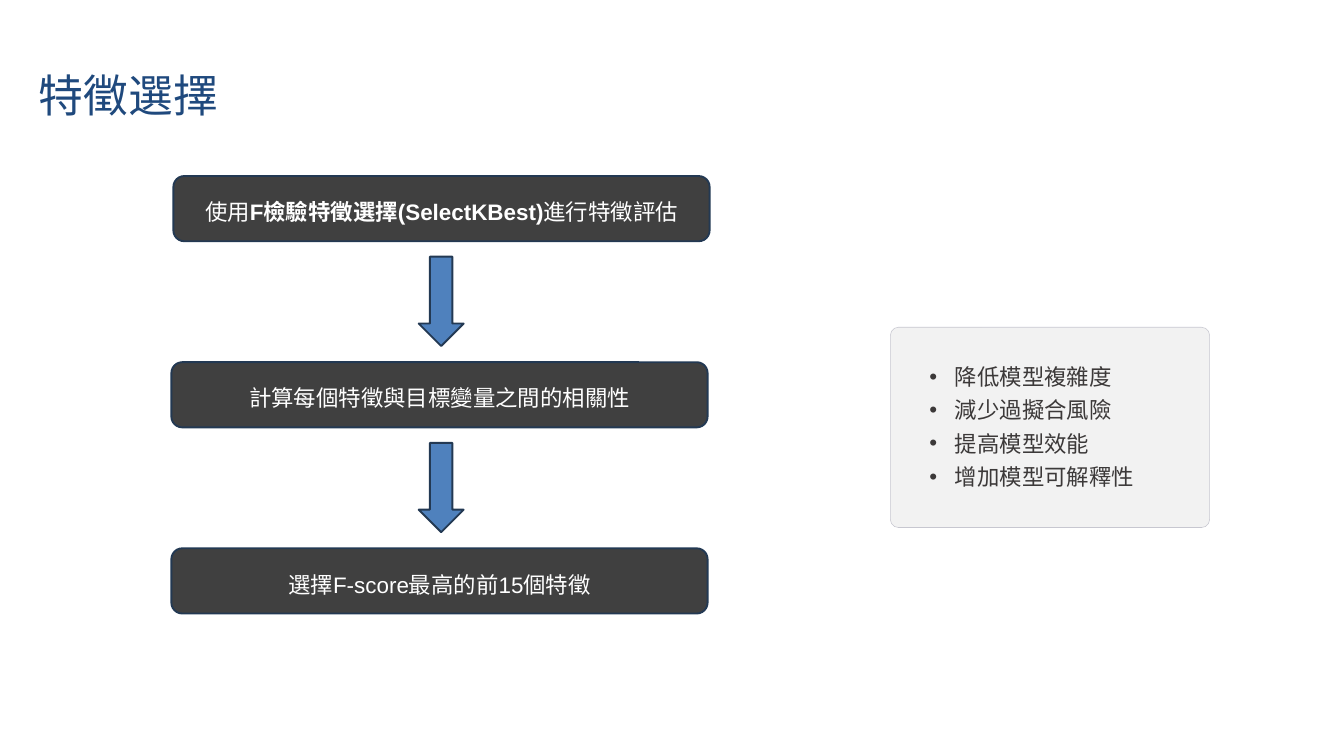
from pptx import Presentation
from pptx.dml.color import RGBColor
from pptx.enum.shapes import MSO_SHAPE
from pptx.enum.text import MSO_ANCHOR, MSO_AUTO_SIZE, PP_ALIGN
from pptx.util import Emu, Pt

PX = 9144  # EMU per px, 100 px to the inch
COLORS = {
    "title": "1F497D",
    "step": "404040",
    "step_text": "FFFFFF",
    "arrow": "4F81BD",
    "outline": "233953",
    "panel": "F2F2F2",
    "panel_line": "C7C7D0",
    "list_text": "3C3939",
}
TITLE = "特徵選擇"
# Each step is a list of (text, bold) runs
STEPS = [
    [("使用", False), ("F檢驗特徵選擇(SelectKBest)", True), ("進行特徵評估", False)],
    [("計算每個特徵與目標變量之間的相關性", False)],
    [("選擇F-score最高的前15個特徵", False)],
]
BENEFITS = ["降低模型複雜度", "減少過擬合風險", "提高模型效能", "增加模型可解釋性"]


def px(value):
    return Emu(value * PX)


def color(name):
    return RGBColor.from_string(COLORS[name])


def place(shape, left, top, width, height):
    shape.left, shape.top = px(left), px(top)
    shape.width, shape.height = px(width), px(height)


def add_box(slide, kind, box, fill, line, line_width):
    shape = slide.shapes.add_shape(kind, *[px(value) for value in box])
    shape.shadow.inherit = False
    shape.fill.solid()
    shape.fill.fore_color.rgb = color(fill)
    shape.line.color.rgb = color(line)
    shape.line.width = Pt(line_width)
    return shape


def write_text(shape, paragraphs, size=24, fill="step_text", spacing=35.6,
               align=PP_ALIGN.LEFT, anchor=MSO_ANCHOR.TOP, inset=0, indent=0):
    frame = shape.text_frame
    frame.word_wrap = True
    frame.auto_size = MSO_AUTO_SIZE.NONE
    frame.vertical_anchor = anchor
    frame.margin_left = frame.margin_right = px(inset)
    frame.margin_top = frame.margin_bottom = px(inset // 2)
    for index, runs in enumerate(paragraphs):
        paragraph = frame.add_paragraph() if index else frame.paragraphs[0]
        paragraph.alignment = align
        paragraph.line_spacing = Pt(spacing)
        paragraph.space_before = Pt(0)
        if indent:
            properties = paragraph._p.get_or_add_pPr()
            properties.set("marL", str(indent * PX))
            properties.set("indent", str(-indent * PX))
        for text, bold in runs:
            run = paragraph.add_run()
            run.text = text
            run.font.name = "Arial"
            run.font.size = Pt(size)
            run.font.bold = bold
            run.font.color.rgb = color(fill)


def add_title(slide, left, top, width, height):
    title = slide.shapes.title
    place(title, left, top, width, height)
    write_text(title, [[(TITLE, False)]], size=48, fill="title", spacing=69.4)


def add_flow(slide, left, top, width, height):
    step_height, arrow_width, arrow_height = 97, 67, 133
    pitch = (height - step_height) // (len(STEPS) - 1)
    gap = (pitch - step_height - arrow_height) // 2
    for index, runs in enumerate(STEPS):
        step_top = top + index * pitch
        # The first step sits slightly to the right of the others
        step_left = left if index else left + 3
        step = add_box(slide, MSO_SHAPE.ROUNDED_RECTANGLE,
                       (step_left, step_top, width, step_height),
                       "step", "outline", 2)
        write_text(step, [runs], align=PP_ALIGN.CENTER,
                   anchor=MSO_ANCHOR.MIDDLE, inset=10)
        if index < len(STEPS) - 1:
            arrow_left = left + 3 + (width - arrow_width) // 2
            add_box(slide, MSO_SHAPE.DOWN_ARROW,
                    (arrow_left, step_top + step_height + gap, arrow_width, arrow_height),
                    "arrow", "outline", 2)


def add_benefits(slide, left, top, width, height):
    panel = add_box(slide, MSO_SHAPE.ROUNDED_RECTANGLE,
                    (left, top, width, height), "panel", "panel_line", 0.6)
    panel.adjustments[0] = 0.04
    body = slide.placeholders[1]
    place(body, left + 58, top + 44, width - 117, height - 86)
    write_text(body, [[(text, False)] for text in BENEFITS], fill="list_text", indent=38)
    # Bring the list in front of its panel
    panel.element.addnext(body.element)


def main():
    presentation = Presentation()
    presentation.slide_width, presentation.slide_height = px(2000), px(1125)
    slide = presentation.slides.add_slide(presentation.slide_layouts[1])
    add_title(slide, 58, 84, 1082, 97)
    add_flow(slide, 255, 262, 798, 652)
    add_benefits(slide, 1325, 487, 475, 298)
    presentation.save("out.pptx")


if __name__ == "__main__":
    main()
